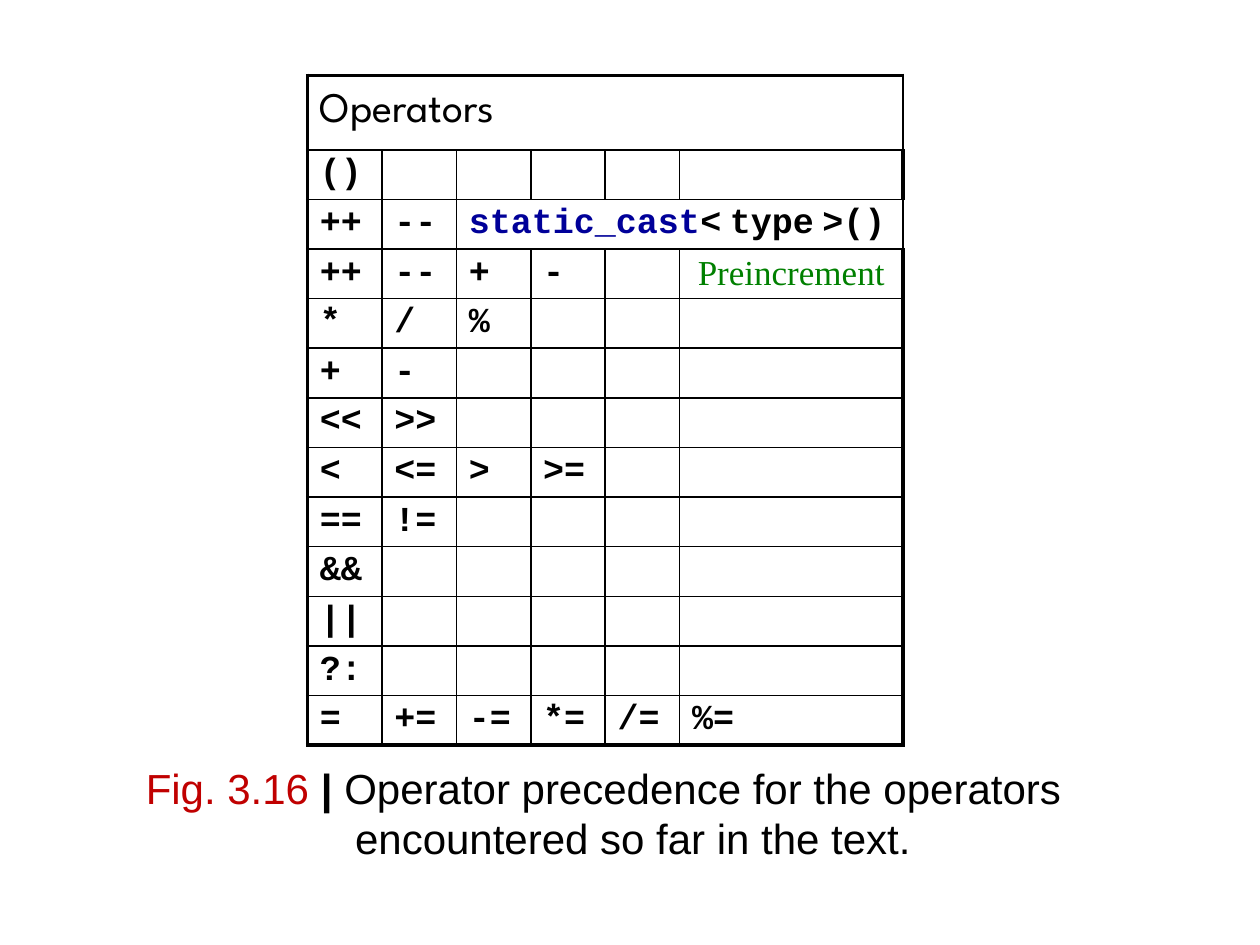
from lxml import etree
from pptx import Presentation
from pptx import util as u
from pptx.dml.color import RGBColor
from pptx.enum import text
from pptx.oxml import ns

COLORS = {"black": "000000", "keyword": "000099", "note": "008000", "figure": "C00000"}


def add_run(paragraph, content, size=20, font="Courier New", color="black", bold=True):
    run = paragraph.add_run()
    run.text = content
    run.font.size = u.Pt(size)
    run.font.name = font
    run.font.bold = bold
    run.font.color.rgb = RGBColor.from_string(COLORS[color])


def add_border(cell, side, width):
    line = etree.SubElement(cell._tc.get_or_add_tcPr(), ns.qn(f"a:ln{side}"), w=str(u.Pt(width)))
    fill = etree.SubElement(line, ns.qn("a:solidFill"))
    etree.SubElement(fill, ns.qn("a:srgbClr"), val=COLORS["black"])


presentation = Presentation()
presentation.slide_width = u.Cm(25.4)
presentation.slide_height = u.Cm(19.05)
slide = presentation.slides.add_slide(presentation.slide_layouts[6])

operators = ["", "()", "++ --", "++ -- + -", "* / %", "+ -", "<< >>", "< <= > >=",
             "== !=", "&&", "||", "?:", "= += -= *= /= %="]
widths = [1.5] * 5 + [4.5]
heights = [1.5] + [1] * 12
last_row, last_column = len(heights) - 1, len(widths) - 1

table = slide.shapes.add_table(len(heights), len(widths), u.Cm(6.2), u.Cm(1.52),
                               u.Cm(sum(widths)), u.Cm(sum(heights))).table
table.first_row = False
table.horz_banding = False
for column, width in zip(table.columns, widths):
    column.width = u.Cm(width)

for row_index, height in enumerate(heights):
    table.rows[row_index].height = u.Cm(height)
    symbols = operators[row_index].split()
    for column_index in range(len(widths)):
        cell = table.cell(row_index, column_index)
        cell.vertical_anchor = text.MSO_ANCHOR.MIDDLE
        cell.margin_left = cell.margin_right = u.Cm(0.25)
        cell.margin_top = cell.margin_bottom = u.Cm(0.05 if row_index else 0.13)
        outer = {"L": column_index == 0, "R": column_index == last_column,
                 "T": row_index == 0, "B": row_index == last_row}
        for side, is_outer in outer.items():
            add_border(cell, side, 2.25 if is_outer else 1)
        cell.fill.background()
        if column_index < len(symbols):
            add_run(cell.text_frame.paragraphs[0], symbols[column_index])

header = table.cell(0, 0)
header.merge(table.cell(0, last_column))
add_run(header.text_frame.paragraphs[0], "Operators", size=24, font="League Spartan", bold=False)

cast = table.cell(2, 2)
cast.merge(table.cell(2, last_column))
cast_paragraph = cast.text_frame.paragraphs[0]
add_run(cast_paragraph, "static_cast", color="keyword")
for content, size in [("<", 20), (" ", 8), ("type", 20), (" ", 8), (">()", 20)]:
    add_run(cast_paragraph, content, size=size)

note_paragraph = table.cell(3, last_column).text_frame.paragraphs[0]
note_paragraph.alignment = text.PP_ALIGN.CENTER
add_run(note_paragraph, "Preincrement", font="Times New Roman", color="note", bold=False)

caption = slide.shapes.add_textbox(u.Cm(2.69), u.Cm(15.04), u.Cm(20.02), u.Cm(2.49)).text_frame
caption.word_wrap = True
caption.vertical_anchor = text.MSO_ANCHOR.BOTTOM
caption_paragraph = caption.paragraphs[0]
properties = caption_paragraph._p.get_or_add_pPr()
properties.set("marL", str(u.Cm(4.22)))
properties.set("indent", str(-u.Cm(4.22)))
add_run(caption_paragraph, "Fig. 3.16 ", size=24, font="Arial", color="figure", bold=False)
add_run(caption_paragraph, "|", size=24, font="Arial")
add_run(caption_paragraph, " Operator precedence for the operators encountered so far in the text.",
        size=24, font="Arial", bold=False)

presentation.save("out.pptx")
